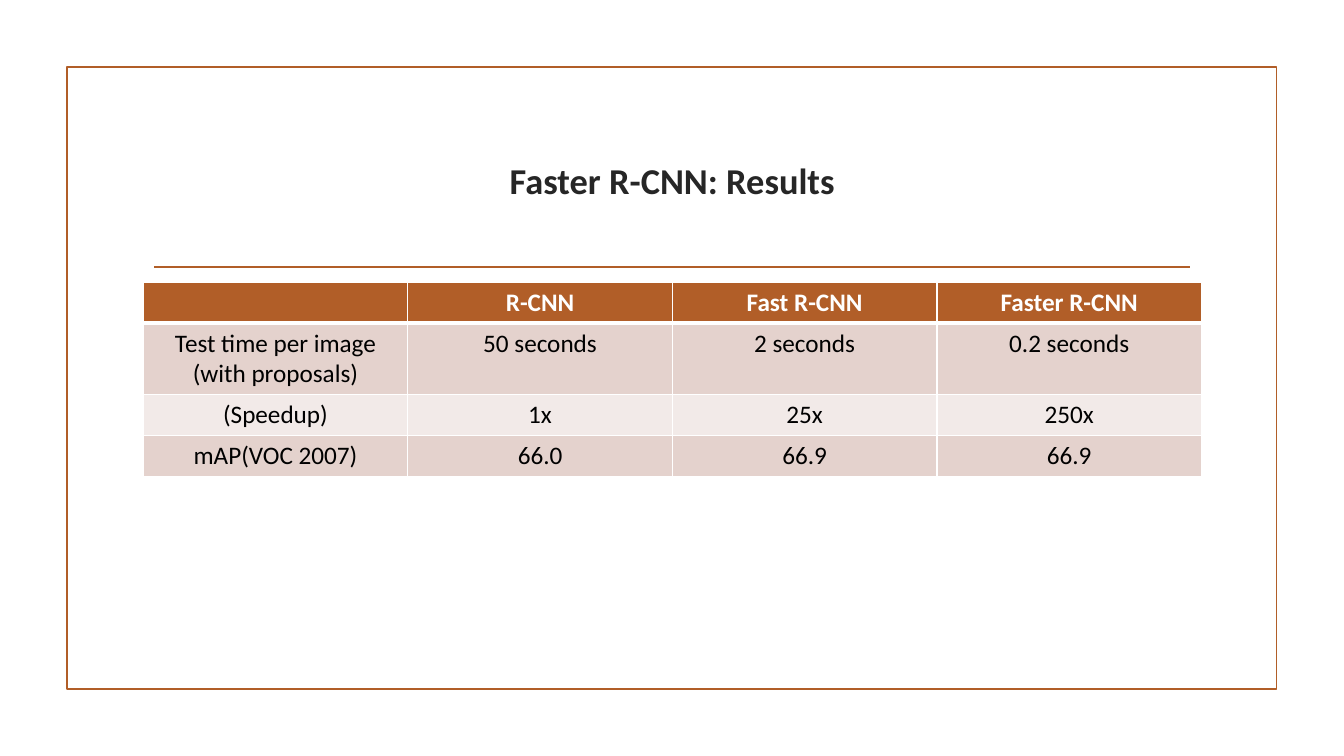
from dataclasses import dataclass

from lxml.etree import SubElement
from pptx import Presentation
from pptx.dml.color import RGBColor
from pptx.enum.shapes import MSO_CONNECTOR, MSO_SHAPE
from pptx.enum.text import MSO_ANCHOR, PP_ALIGN
from pptx.oxml.ns import qn
from pptx.util import Cm, Pt


@dataclass(frozen=True)
class Theme:
    font: str = "Calibri"
    accent: str = "B15E28"
    title: str = "262626"
    text: str = "000000"
    white: str = "FFFFFF"
    bands: tuple = ("E4D2CD", "F2EAE8")
    title_size: float = 26
    table_size: float = 18
    line_width: float = 1.25
    border_width: float = 1
    header_border_width: float = 3


THEME = Theme()
CONTENT_LEFT = Cm(3.61)
CONTENT_WIDTH = Cm(26.67)
ROW_HEIGHT = Cm(1.03)

RESULTS = (
    ("", "R-CNN", "Fast R-CNN", "Faster R-CNN"),
    ("Test time per image (with proposals)", "50 seconds", "2 seconds", "0.2 seconds"),
    ("(Speedup)", "1x", "25x", "250x"),
    ("mAP(VOC 2007)", "66.0", "66.9", "66.9"),
)


def color(value):
    return RGBColor.from_string(value)


def format_paragraph(paragraph, size, text_color, bold):
    paragraph.alignment = PP_ALIGN.CENTER
    font = paragraph.font
    font.name = THEME.font
    font.size = Pt(size)
    font.bold = bold
    font.color.rgb = color(text_color)


def style_line(line):
    line.color.rgb = color(THEME.accent)
    line.width = Pt(THEME.line_width)


def add_frame(slide):
    frame = slide.shapes.add_shape(
        MSO_SHAPE.RECTANGLE, Cm(1.69), Cm(1.69), Cm(30.48), Cm(15.68))
    frame.shadow.inherit = False
    frame.fill.background()
    style_line(frame.line)


def add_divider(slide):
    divider = slide.shapes.add_connector(
        MSO_CONNECTOR.STRAIGHT, Cm(3.89), Cm(6.73), Cm(30), Cm(6.73))
    style_line(divider.line)
    SubElement(divider._element.spPr, qn("a:effectLst"))


def set_title(slide, text):
    title = slide.shapes.title
    title.left, title.top = CONTENT_LEFT, Cm(2.72)
    title.width, title.height = CONTENT_WIDTH, Cm(3.63)
    title.text_frame.text = text
    title.text_frame.vertical_anchor = MSO_ANCHOR.MIDDLE
    format_paragraph(title.text_frame.paragraphs[0], THEME.title_size, THEME.title, True)


def set_borders(cell, widths):
    """Draw white borders; widths maps the sides L, R, T, B to points."""
    properties = cell._tc.get_or_add_tcPr()
    for side, width in widths.items():
        border = SubElement(properties, qn(f"a:ln{side}"), w=str(Pt(width)))
        fill = SubElement(border, qn("a:solidFill"))
        SubElement(fill, qn("a:srgbClr"), val=THEME.white)


def format_cell(cell, row_index):
    is_header = row_index == 0
    widths = dict.fromkeys("LRTB", THEME.border_width)
    if is_header:
        widths["B"] = THEME.header_border_width
    elif row_index == 1:
        widths["T"] = THEME.header_border_width
    set_borders(cell, widths)
    cell.fill.solid()
    cell.fill.fore_color.rgb = color(
        THEME.accent if is_header else THEME.bands[(row_index - 1) % 2])
    format_paragraph(cell.text_frame.paragraphs[0], THEME.table_size,
                     THEME.white if is_header else THEME.text, is_header)


def add_results_table(slide, rows):
    table = slide.shapes.add_table(
        len(rows), len(rows[0]), CONTENT_LEFT, Cm(7.11),
        CONTENT_WIDTH, ROW_HEIGHT * len(rows)).table
    for row_index, values in enumerate(rows):
        for column_index, value in enumerate(values):
            cell = table.cell(row_index, column_index)
            cell.text = value
            format_cell(cell, row_index)


def main():
    presentation = Presentation()
    presentation.slide_width, presentation.slide_height = Cm(33.87), Cm(19.05)
    title_only = presentation.slide_layouts.get_by_name("Title Only")
    slide = presentation.slides.add_slide(title_only)
    add_frame(slide)
    add_divider(slide)
    set_title(slide, "Faster R-CNN: Results")
    add_results_table(slide, RESULTS)
    presentation.save("out.pptx")


if __name__ == "__main__":
    main()
